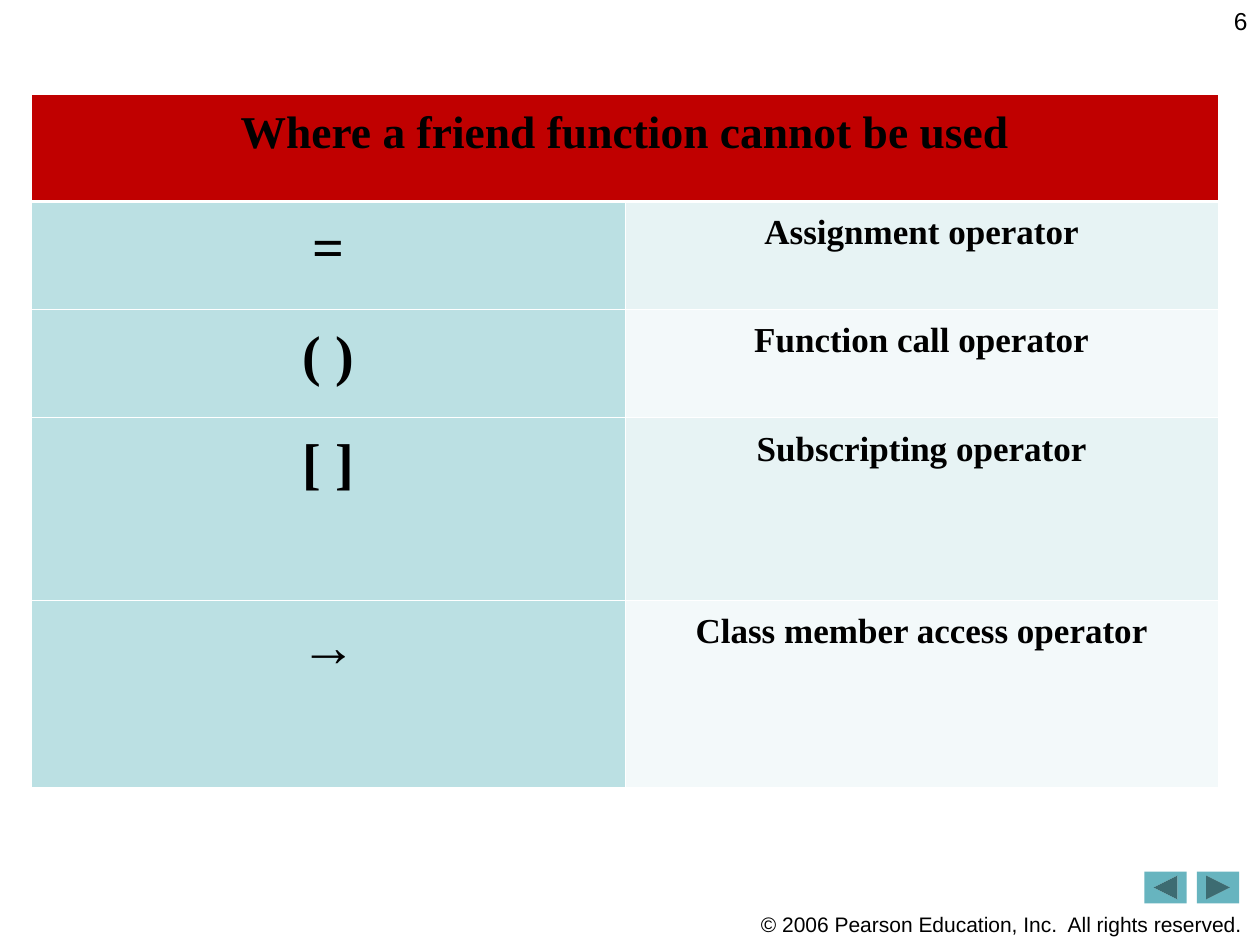
"""Build the slide on operators that a friend function cannot overload."""
from dataclasses import dataclass

from lxml import etree
from pptx import Presentation
from pptx.dml.color import RGBColor
from pptx.enum.shapes import MSO_SHAPE
from pptx.enum.text import PP_ALIGN
from pptx.oxml.ns import qn
from pptx.util import Cm, Pt

NEXT = MSO_SHAPE.ACTION_BUTTON_FORWARD_OR_NEXT
CENTER = PP_ALIGN.CENTER
RIGHT = PP_ALIGN.RIGHT


@dataclass(frozen=True)
class Theme:
    sans: str = "Arial"
    serif: str = "Times New Roman"
    text: str = "000000"
    border: str = "FFFFFF"
    header: str = "C00000"
    symbol: str = "BBE0E3"
    bands: tuple = ("E7F3F4", "F3F9FA")
    button: str = "67B4BF"
    header_size: int = 26
    symbol_size: int = 32
    name_size: int = 20
    page_size: int = 14
    footer_size: int = 12
    thin: float = 0.45
    thick: float = 1.47


THEME = Theme()
OPERATORS = [
    ("=", "Assignment operator", THEME.serif),
    ("( )", "Function call operator", THEME.serif),
    ("[ ]", "Subscripting operator", THEME.serif),
    ("→", "Class member access operator", THEME.sans),
]
ROW_HEIGHTS = (2.16, 2.18, 2.18, 3.68, 3.78)
COL_WIDTH = 11.96


def add_run(p, text, size, font, bold=False):
    r = p.add_run()
    r.text = text
    r.font.size = Pt(size)
    r.font.name = font
    r.font.bold = bold
    r.font.color.rgb = RGBColor.from_string(THEME.text)


def add_text(s, box, text, size, align, wrap):
    tf = s.shapes.add_textbox(*map(Cm, box)).text_frame
    tf.word_wrap = wrap
    p = tf.paragraphs[0]
    p.alignment = align
    add_run(p, text, size, THEME.sans)


def add_button(s, left, rotation):
    sp = s.shapes.add_shape(NEXT, Cm(left), Cm(17.57), Cm(0.85), Cm(0.64))
    sp.rotation = rotation
    sp.shadow.inherit = False
    sp.fill.solid()
    sp.fill.fore_color.rgb = RGBColor.from_string(THEME.button)
    sp.line.fill.background()


def set_borders(cell, top, bottom):
    tc_pr = cell._tc.get_or_add_tcPr()
    widths = {"L": THEME.thin, "R": THEME.thin, "T": top, "B": bottom}
    for side, width in widths.items():
        ln = etree.SubElement(tc_pr, qn(f"a:ln{side}"), w=str(Pt(width)))
        fill = etree.SubElement(ln, qn("a:solidFill"))
        etree.SubElement(fill, qn("a:srgbClr"), val=THEME.border)


def fill_cell(cell, text, size, font, color, top=THEME.thin, bottom=THEME.thin):
    set_borders(cell, top, bottom)
    cell.fill.solid()
    cell.fill.fore_color.rgb = RGBColor.from_string(color)
    cell.margin_left = cell.margin_right = Cm(0.18)
    p = cell.text_frame.paragraphs[0]
    p.alignment = CENTER
    p.line_spacing = 1.15
    if text:
        add_run(p, text, size, font, bold=True)


def add_operator_table(s):
    table = s.shapes.add_table(
        len(ROW_HEIGHTS), 2, Cm(0.64), Cm(1.9),
        Cm(2 * COL_WIDTH), Cm(sum(ROW_HEIGHTS))).table
    for col in table.columns:
        col.width = Cm(COL_WIDTH)
    for row, height in zip(table.rows, ROW_HEIGHTS):
        row.height = Cm(height)

    table.cell(0, 0).merge(table.cell(0, 1))
    for col, text in enumerate(("Where a friend function cannot be used", "")):
        fill_cell(table.cell(0, col), text, THEME.header_size, THEME.serif,
                  THEME.header, bottom=THEME.thick)

    for i, (symbol, name, font) in enumerate(OPERATORS):
        top = THEME.thin if i else THEME.thick
        fill_cell(table.cell(i + 1, 0), symbol, THEME.symbol_size, font,
                  THEME.symbol, top)
        fill_cell(table.cell(i + 1, 1), name, THEME.name_size, THEME.serif,
                  THEME.bands[i % 2], top)


def main():
    prs = Presentation()
    prs.slide_width, prs.slide_height = Cm(25.4), Cm(19.05)
    s = prs.slides.add_slide(prs.slide_layouts[6])
    add_button(s, 24.13, 0)
    add_button(s, 23.07, 180)
    add_text(s, (15.06, 18.26, 10.26, 0.76),
             "© 2006 Pearson Education, Inc.  All rights reserved.",
             THEME.footer_size, CENTER, False)
    add_operator_table(s)
    add_text(s, (19.48, 0, 5.92, 1.32), "6", THEME.page_size, RIGHT, True)
    prs.save("out.pptx")


if __name__ == "__main__":
    main()
